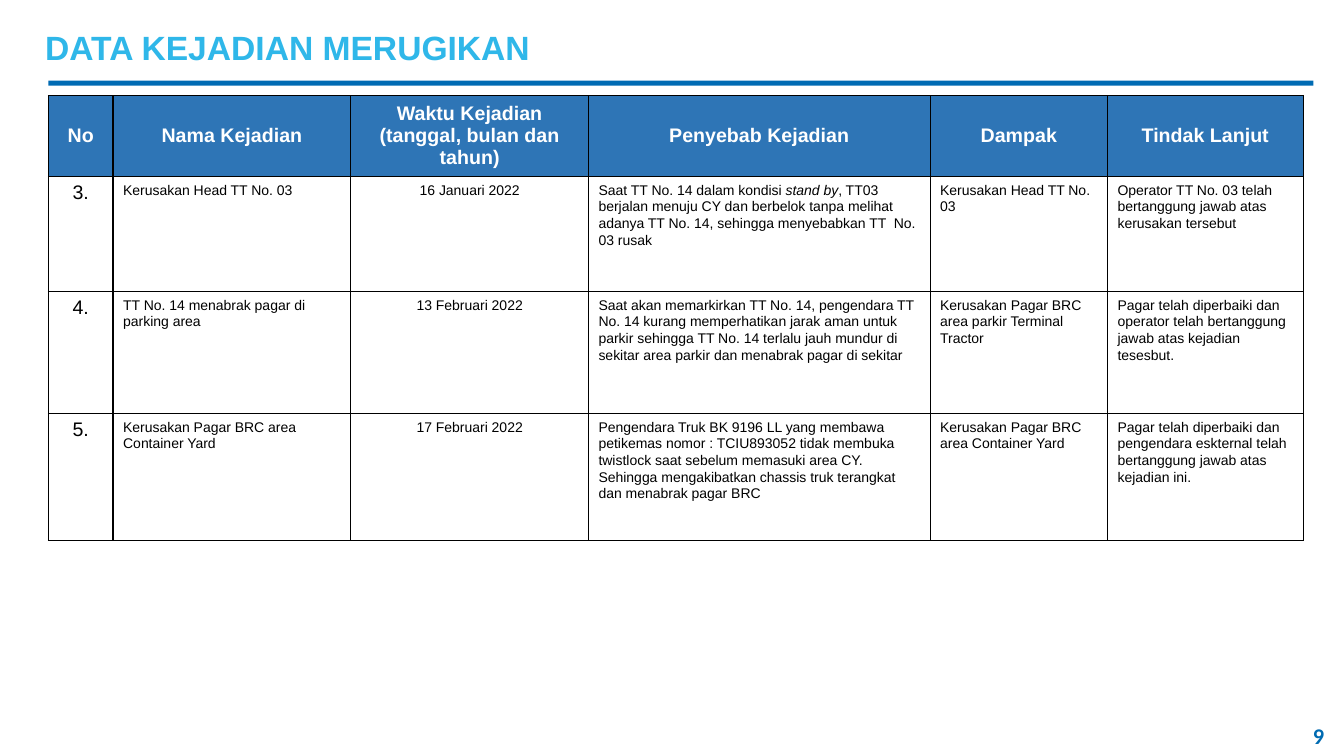
from dataclasses import dataclass

from lxml.etree import SubElement
from pptx import Presentation
from pptx.dml.color import RGBColor
from pptx.enum.shapes import MSO_SHAPE
from pptx.enum.text import MSO_ANCHOR, PP_ALIGN
from pptx.oxml.ns import qn
from pptx.util import Cm, Pt


@dataclass(frozen=True)
class Theme:
    title: str = "2FB7E9"
    rule: str = "006BB3"
    page: str = "006BB2"
    head: str = "2E75B6"
    light: str = "FFFFFF"
    ink: str = "000000"
    font: str = "Arial"
    page_font: str = "Calibri"
    title_size: int = 24
    page_size: int = 16
    head_size: int = 14
    body_size: int = 10
    border: float = 1


@dataclass(frozen=True)
class Box:
    left: float
    top: float
    width: float
    height: float

    def place(self):
        return [Cm(n) for n in (self.left, self.top, self.width, self.height)]


THEME = Theme()
COLS = (1.63, 5.99, 5.99, 8.61, 4.47, 4.93)
ROWS = (1.35, 2.9, 3.07, 3.2)
HEAD = ("No", "Nama Kejadian", "Waktu Kejadian\n(tanggal, bulan dan tahun)",
        "Penyebab Kejadian", "Dampak", "Tindak Lanjut")
EVENTS = (
    ("3.", "Kerusakan Head TT No. 03", "16 Januari 2022",
     "Saat TT No. 14 dalam kondisi *stand by*, TT03 berjalan menuju CY dan "
     "berbelok tanpa melihat adanya TT No. 14, sehingga menyebabkan TT  No. 03 rusak",
     "Kerusakan Head TT No. 03",
     "Operator TT No. 03 telah bertanggung jawab atas kerusakan tersebut"),
    ("4.", "TT No. 14 menabrak pagar di parking area", "13 Februari 2022",
     "Saat akan memarkirkan TT No. 14, pengendara TT No. 14 kurang "
     "memperhatikan jarak aman untuk parkir sehingga TT No. 14 terlalu jauh "
     "mundur di sekitar area parkir dan menabrak pagar di sekitar",
     "Kerusakan Pagar BRC area parkir Terminal Tractor",
     "Pagar telah diperbaiki dan operator telah bertanggung jawab atas kejadian tesesbut."),
    ("5.", "Kerusakan Pagar BRC area Container Yard", "17 Februari 2022",
     "Pengendara Truk BK 9196 LL yang membawa petikemas nomor : TCIU893052 "
     "tidak membuka twistlock saat sebelum memasuki area CY. Sehingga "
     "mengakibatkan chassis truk terangkat dan menabrak pagar BRC",
     "Kerusakan Pagar BRC area Container Yard",
     "Pagar telah diperbaiki dan pengendara eskternal telah bertanggung jawab atas kejadian ini."),
)


def write(frame, text, size, color, font=THEME.font, bold=False,
          align=PP_ALIGN.LEFT, lead=None, after=None):
    """Fill a text frame; newlines part paragraphs, asterisks mark italics."""
    frame.word_wrap = True
    for i, line in enumerate(text.split("\n")):
        para = frame.add_paragraph() if i else frame.paragraphs[0]
        para.alignment = align
        para.line_spacing = lead
        para.space_after = after
        for j, part in enumerate(line.split("*")):
            run = para.add_run()
            run.text = part
            style = run.font
            style.name, style.size, style.bold = font, Pt(size), bold
            style.italic = j % 2 == 1
            style.color.rgb = RGBColor.from_string(color)


def outline(cell):
    """Draw the four borders of a cell, ahead of its fill in the XML."""
    props = cell._tc.get_or_add_tcPr()
    for i, side in enumerate(("lnL", "lnR", "lnT", "lnB")):
        line = SubElement(props, qn(f"a:{side}"), w=str(Pt(THEME.border)))
        fill = SubElement(line, qn("a:solidFill"))
        SubElement(fill, qn("a:srgbClr"), val=THEME.ink)
        props.insert(i, line)


def add_title(slide, box):
    text = slide.shapes.add_textbox(*box.place())
    frame = text.text_frame
    frame.vertical_anchor = MSO_ANCHOR.MIDDLE
    frame.margin_left = frame.margin_right = Cm(0.15)
    frame.margin_top = frame.margin_bottom = Cm(0.15)
    write(frame, "DATA KEJADIAN MERUGIKAN", THEME.title_size, THEME.title, bold=True)
    rule = Box(box.left + 0.23, box.top + 1.57, 31.88, 0.13)
    bar = slide.shapes.add_shape(MSO_SHAPE.RECTANGLE, *rule.place())
    bar.shadow.inherit = False
    bar.fill.solid()
    bar.fill.fore_color.rgb = RGBColor.from_string(THEME.rule)
    bar.line.fill.background()


def add_events(slide, box):
    table = slide.shapes.add_table(len(ROWS), len(COLS), *box.place()).table
    table.horz_banding = False
    for col, width in zip(table.columns, COLS):
        col.width = Cm(width)
    for row, height in zip(table.rows, ROWS):
        row.height = Cm(height)
    for r, texts in enumerate((HEAD, *EVENTS)):
        for c, text in enumerate(texts):
            cell = table.cell(r, c)
            look = {"size": THEME.body_size, "color": THEME.ink,
                    "lead": 1.07, "after": Pt(8)}
            if r == 0:
                cell.fill.solid()
                cell.fill.fore_color.rgb = RGBColor.from_string(THEME.head)
                cell.vertical_anchor = MSO_ANCHOR.MIDDLE
                look = {"size": THEME.head_size, "color": THEME.light, "bold": True}
            else:
                cell.fill.background()
                if c == 0:
                    look = {"size": THEME.head_size, "color": THEME.ink}
            if r == 0 or c in (0, 2):
                look["align"] = PP_ALIGN.CENTER
            write(cell.text_frame, text, **look)
            outline(cell)


def add_page(slide, box):
    frame = slide.shapes.add_textbox(*box.place()).text_frame
    frame.vertical_anchor = MSO_ANCHOR.MIDDLE
    write(frame, "9", THEME.page_size, THEME.page, font=THEME.page_font,
          bold=True, align=PP_ALIGN.CENTER)


def main():
    deck = Presentation()
    deck.slide_width, deck.slide_height = Cm(33.87), Cm(19.05)
    slide = deck.slides.add_slide(deck.slide_layouts[6])
    add_title(slide, Box(0.99, 0.46, 30.07, 1.47))
    add_events(slide, Box(1.22, 2.41, sum(COLS), sum(ROWS)))
    add_page(slide, Box(32.61, 18.03, 1.24, 1.02))
    deck.save("out.pptx")


if __name__ == "__main__":
    main()
